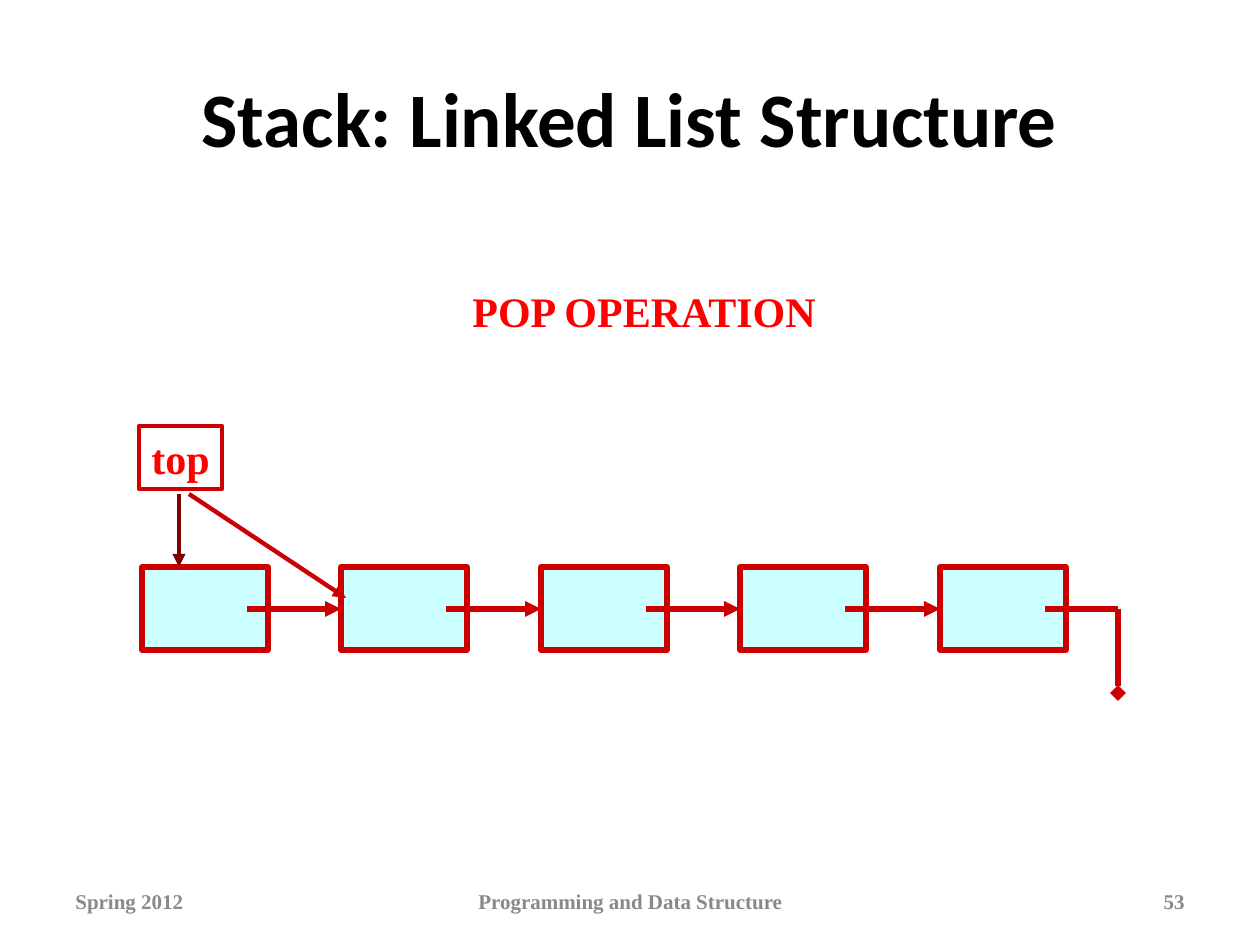
from lxml import etree
from pptx import Presentation
from pptx.dml.color import RGBColor
from pptx.enum.shapes import MSO_CONNECTOR, MSO_SHAPE
from pptx.enum.text import MSO_ANCHOR, PP_ALIGN
from pptx.oxml.ns import qn
from pptx.util import Emu, Pt

STRAIGHT = MSO_CONNECTOR.STRAIGHT
RECTANGLE = MSO_SHAPE.RECTANGLE
MIDDLE = MSO_ANCHOR.MIDDLE
LEFT, CENTER, RIGHT = PP_ALIGN.LEFT, PP_ALIGN.CENTER, PP_ALIGN.RIGHT

EMU_PER_PX = 914400 / 126
COLORS = {
    "black": "000000",
    "red": "FF0000",
    "outline": "CC0000",
    "old_link": "800000",
    "node": "CCFFFF",
    "footer": "898989",
}


def write(shape, text, size, color, font="Times New Roman", align=CENTER):
    frame = shape.text_frame
    frame.word_wrap = True
    frame.vertical_anchor = MIDDLE
    frame.text = text
    paragraph = frame.paragraphs[0]
    paragraph.alignment = align
    paragraph.font.name = font
    paragraph.font.size = Pt(size)
    paragraph.font.bold = True
    paragraph.font.color.rgb = RGBColor.from_string(COLORS[color])


def link(points, color="outline", width=3, end=None):
    connector = slide.shapes.add_connector(
        STRAIGHT, *[Emu(round(p * EMU_PER_PX)) for p in points])
    connector.line.color.rgb = RGBColor.from_string(COLORS[color])
    connector.line.width = Pt(width)
    if end:
        line_xml = connector.line._get_or_add_ln()
        etree.SubElement(line_xml, qn("a:tailEnd"), type=end)
    etree.SubElement(connector._element.spPr, qn("a:effectLst"))


prs = Presentation()
prs.slide_width = Emu(round(1260 * EMU_PER_PX))
prs.slide_height = Emu(round(945 * EMU_PER_PX))
slide = prs.slides.add_slide(prs.slide_layouts[5])

title = slide.shapes.title
title.left, title.top, title.width, title.height = [
    Emu(round(p * EMU_PER_PX)) for p in (63, 38, 1134, 157)]
write(title, "Stack: Linked List Structure", 44, "black", "Calibri")

labels = [
    ("Spring 2012", (63, 876, 294, 50), 12, "footer", LEFT),
    ("Programming and Data Structure", (431, 876, 399, 50), 12, "footer", CENTER),
    ("53", (903, 876, 294, 50), 12, "footer", RIGHT),
    ("POP OPERATION", (460, 279, 374, 63), 24, "red", LEFT),
]
for text, box, size, color, align in labels:
    label = slide.shapes.add_textbox(*[Emu(round(p * EMU_PER_PX)) for p in box])
    write(label, text, size, color, align=align)
    label.text_frame.word_wrap = size < 24

NODE_COUNT = 5
NODE_WIDTH, NODE_HEIGHT = 126, 83
NODE_TOP = 567
LINK_Y = 609
node_lefts = [142 + i * 399 // 2 for i in range(NODE_COUNT)]

for left in node_lefts:
    node = slide.shapes.add_shape(RECTANGLE, *[
        Emu(round(p * EMU_PER_PX)) for p in (left, NODE_TOP, NODE_WIDTH, NODE_HEIGHT)])
    node.shadow.inherit = False
    node.fill.solid()
    node.fill.fore_color.rgb = RGBColor.from_string(COLORS["node"])
    node.line.color.rgb = RGBColor.from_string(COLORS["outline"])
    node.line.width = Pt(3)

for left, next_left in zip(node_lefts, node_lefts[1:]):
    link((left + 105, LINK_Y, next_left, LINK_Y), end="triangle")
link((node_lefts[-1] + 105, LINK_Y, 1118, LINK_Y))
link((1118, LINK_Y, 1118, 693), end="diamond")

top_pointer = slide.shapes.add_shape(
    RECTANGLE, *[Emu(round(p * EMU_PER_PX)) for p in (139, 426, 83, 63)])
top_pointer.shadow.inherit = False
top_pointer.fill.background()
top_pointer.line.color.rgb = RGBColor.from_string(COLORS["outline"])
top_pointer.line.width = Pt(2.5)
write(top_pointer, "top", 24, "red", align=LEFT)
top_pointer.text_frame.word_wrap = False

link((179, 494, 179, NODE_TOP), "old_link", 2.5, "triangle")
link((189, 494, 346, 598), "outline", 2.5, "triangle")

prs.save("out.pptx")
